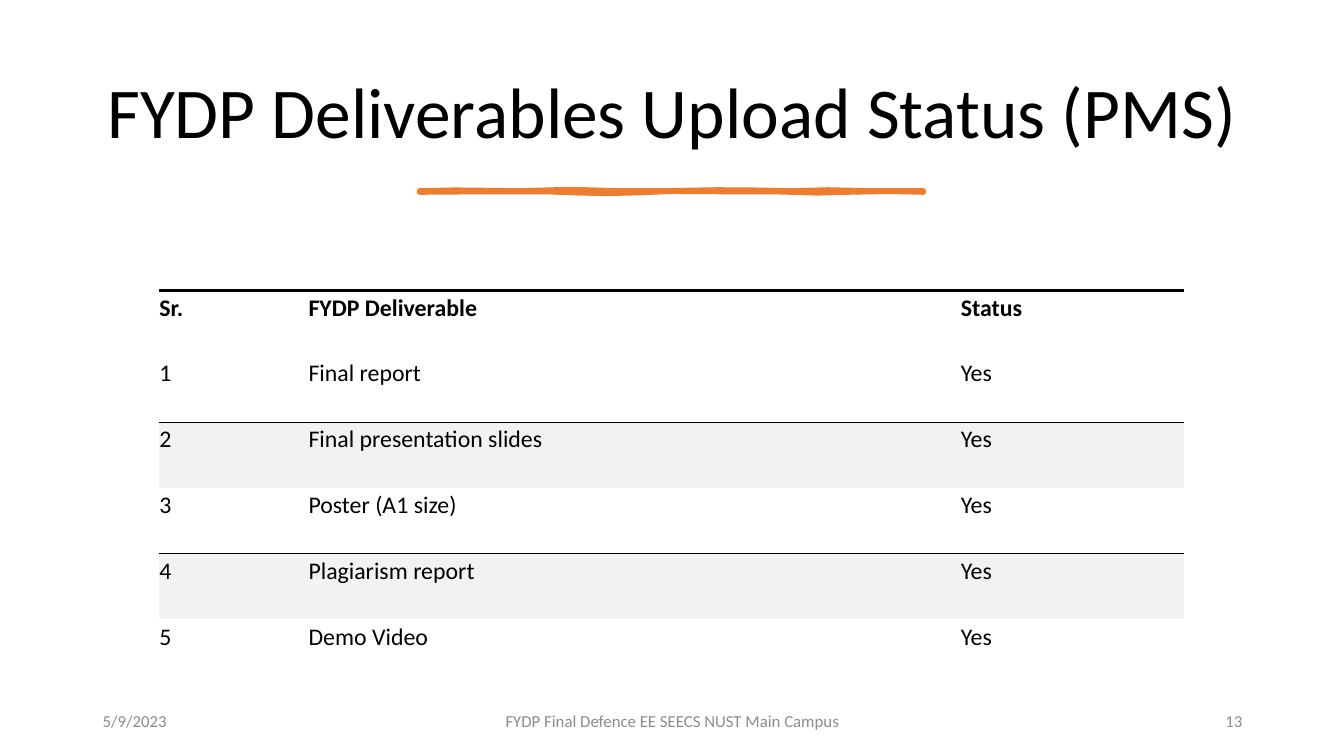
import pptx
import pptx.dml.color
import pptx.enum.text
import pptx.util
import pptx.oxml
import pptx.oxml.ns

Inches = pptx.util.Inches
Pt = pptx.util.Pt
ALIGN = pptx.enum.text.PP_ALIGN
ANCHOR = pptx.enum.text.MSO_ANCHOR

BLACK = pptx.dml.color.RGBColor(0x00, 0x00, 0x00)
GRAY = pptx.dml.color.RGBColor(0x8C, 0x8C, 0x8C)
BAND = pptx.dml.color.RGBColor(0xF2, 0xF2, 0xF2)
ORANGE = pptx.dml.color.RGBColor(0xED, 0x7D, 0x31)

FONT = "Calibri"
COLUMN_WIDTHS = (1.48, 6.47, 2.21)
HEADINGS = ("Sr.", "FYDP Deliverable", "Status")
DELIVERABLES = (
    "Final report",
    "Final presentation slides",
    "Poster (A1 size)",
    "Plagiarism\u00a0report".replace("\u00a0", " "),
    "Demo Video",
)
STROKE_TOP = ((0, 0), (350, -8), (1000, 0), (1350, -10), (1650, -10), (2000, 0),
              (2500, -2), (2950, -10), (3300, -8), (3700, 0), (4050, -10),
              (4400, -2), (5000, 0))
STROKE_BOTTOM = ((5000, 20), (4650, 12), (4250, 20), (3950, 28), (3500, 15),
                 (3000, 15), (2500, 12), (2200, 25), (1850, 33), (1550, 27),
                 (1250, 15), (700, 15), (0, 20))


def write_text(text_frame, text, size, color=BLACK, bold=False,
               align=ALIGN.LEFT, line_spacing=None, space_after=0):
    paragraph = text_frame.paragraphs[0]
    paragraph.alignment = align
    paragraph.space_after = Pt(space_after)
    if line_spacing:
        paragraph.line_spacing = line_spacing
    run = paragraph.add_run()
    run.text = text
    run.font.name = FONT
    run.font.size = Pt(size)
    run.font.bold = bold
    run.font.color.rgb = color


def place_title(slide, left, top, width, height):
    title = slide.shapes.title
    title.left, title.top = Inches(left), Inches(top)
    title.width, title.height = Inches(width), Inches(height)
    text_frame = title.text_frame
    text_frame.auto_size = pptx.enum.text.MSO_AUTO_SIZE.NONE
    text_frame.word_wrap = True
    text_frame.vertical_anchor = ANCHOR.MIDDLE
    write_text(text_frame, "FYDP Deliverables Upload Status (PMS)", 51,
               align=ALIGN.CENTER, line_spacing=0.9)


def draw_brush_stroke(slide, left, top):
    builder = slide.shapes.build_freeform(*STROKE_TOP[0], scale=Inches(1) / 1000)
    builder.add_line_segments(STROKE_TOP[1:] + STROKE_BOTTOM, close=True)
    stroke = builder.convert_to_shape(Inches(left), Inches(top))
    stroke.shadow.inherit = False
    stroke.fill.solid()
    stroke.fill.fore_color.rgb = ORANGE
    stroke.line.color.rgb = ORANGE
    stroke.line.width = Pt(3.25)


def place_footer(slide, left, top, width, height):
    side, middle = 3, 4.5
    parts = (
        ("5/9/2023", left, side, ALIGN.LEFT),
        ("FYDP Final Defence EE SEECS NUST Main Campus",
         left + (width - middle) / 2, middle, ALIGN.CENTER),
        ("13", left + width - side, side, ALIGN.RIGHT),
    )
    for text, part_left, part_width, align in parts:
        box = slide.shapes.add_textbox(Inches(part_left), Inches(top),
                                       Inches(part_width), Inches(height))
        box.text_frame.word_wrap = True
        box.text_frame.vertical_anchor = ANCHOR.MIDDLE
        write_text(box.text_frame, text, 12, color=GRAY, align=align, space_after=6)


def set_borders(cell, top, bottom):
    properties = cell._tc.get_or_add_tcPr()
    for tag, width in (("lnL", 0), ("lnR", 0), ("lnT", top), ("lnB", bottom)):
        paint = f'<a:solidFill><a:srgbClr val="{BLACK}"/></a:solidFill>' if width else "<a:noFill/>"
        properties.append(pptx.oxml.parse_xml(
            f'<a:{tag} {pptx.oxml.ns.nsdecls("a")} w="{Pt(width)}">{paint}</a:{tag}>'))


def place_table(slide, left, top, width, height):
    rows = [HEADINGS] + [(str(number), name, "Yes")
                         for number, name in enumerate(DELIVERABLES, 1)]
    rules = [2.25] + [0.5 if index in (2, 4) else 0 for index in range(1, len(rows) + 1)]
    table = slide.shapes.add_table(len(rows), len(HEADINGS), Inches(left), Inches(top),
                                   Inches(width), Inches(height)).table
    table.first_row = False
    table.horz_banding = False
    for column, column_width in zip(table.columns, COLUMN_WIDTHS):
        column.width = Inches(column_width)
    for row_index, texts in enumerate(rows):
        for column_index, text in enumerate(texts):
            cell = table.cell(row_index, column_index)
            cell.margin_left, cell.margin_top = Inches(0), Inches(0.03)
            cell.margin_right, cell.margin_bottom = Inches(0.09), Inches(0.26)
            set_borders(cell, rules[row_index], rules[row_index + 1])
            if row_index in (2, 4):
                cell.fill.solid()
                cell.fill.fore_color.rgb = BAND
            else:
                cell.fill.background()
            write_text(cell.text_frame, text, 17, bold=row_index == 0)


def main():
    presentation = pptx.Presentation()
    presentation.slide_width = Inches(13.33)
    presentation.slide_height = Inches(7.5)
    slide = presentation.slides.add_slide(presentation.slide_layouts[5])
    place_title(slide, 0.7, 0.46, 11.93, 1.37)
    draw_brush_stroke(slide, 4.16, 1.89)
    place_footer(slide, 0.92, 6.95, 11.5, 0.4)
    place_table(slide, 1.58, 2.88, sum(COLUMN_WIDTHS), 3.92)
    presentation.save("out.pptx")


if __name__ == "__main__":
    main()
